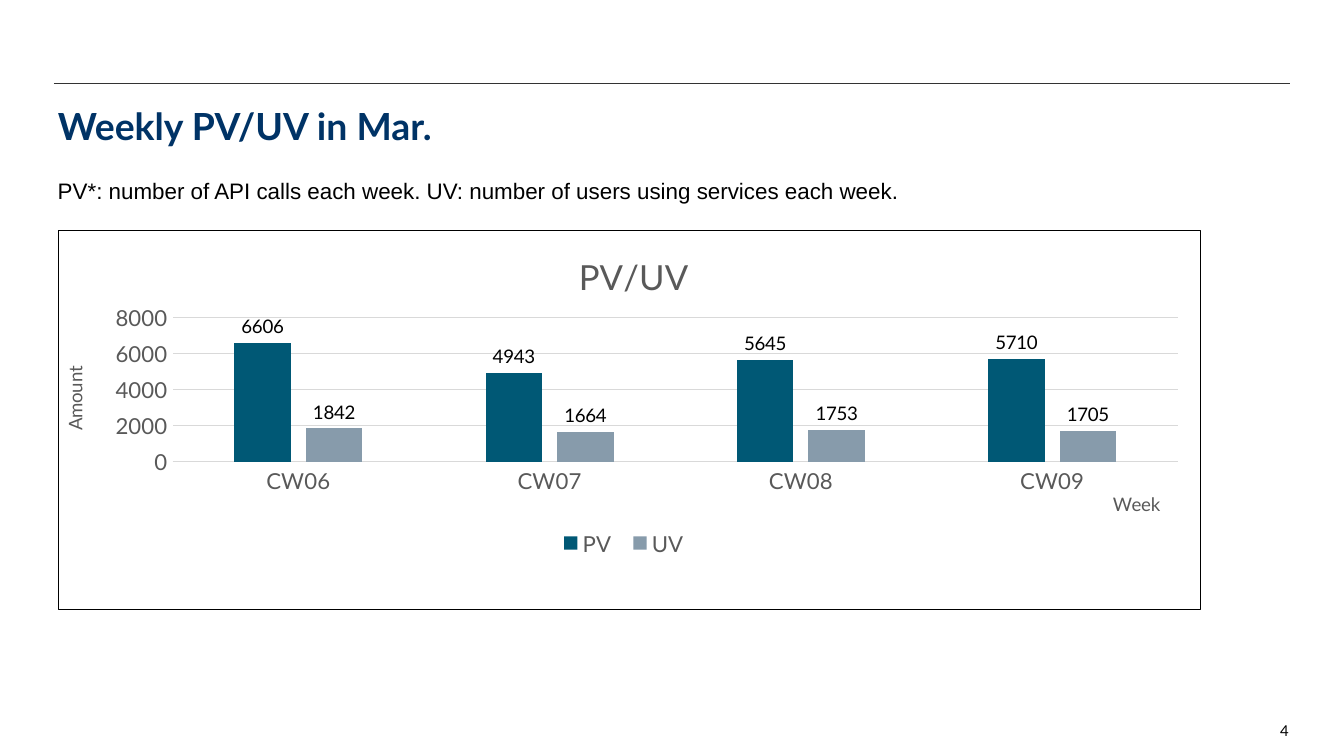
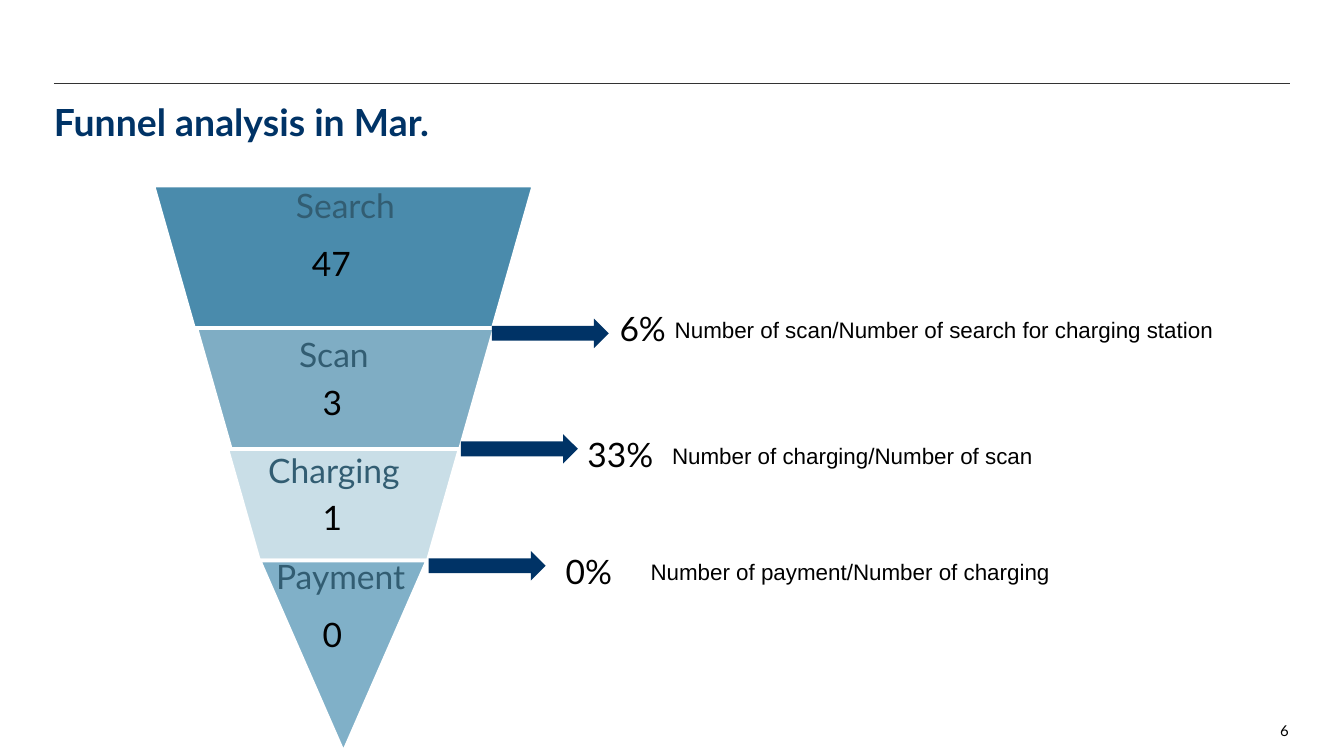
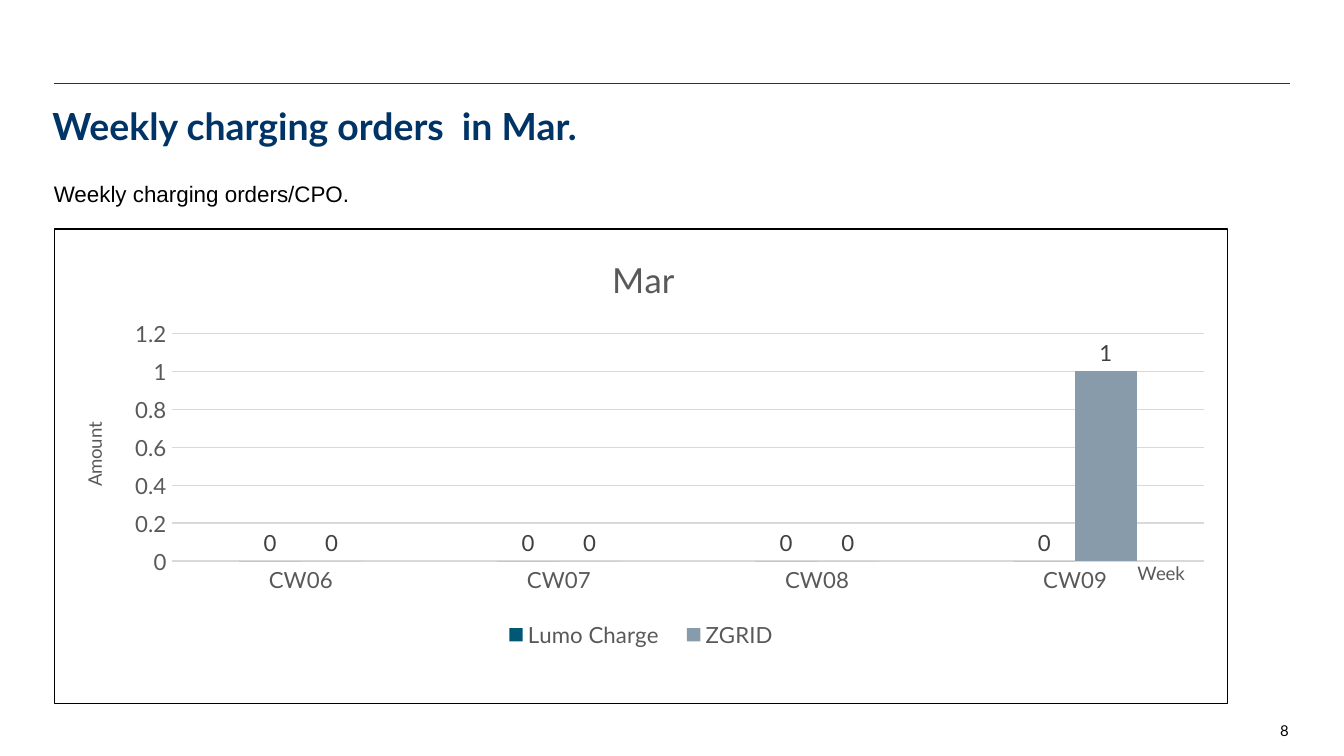
from lxml import etree
from pptx import Presentation
from pptx import util as u
from pptx.chart import data as chart_data
from pptx.dml.color import RGBColor
from pptx.enum import chart as charts, shapes, text
from pptx.oxml import parse_xml
from pptx.oxml.ns import nsdecls, qn

NAVY, BLACK, WHITE = "003366", "000000", "FFFFFF"
RULE, GRID, AXIS_TEXT = "333333", "D9D9D9", "595959"
SERIES_COLORS = ("005875", "879BAB")
LABEL_BLUE = "325D72"
WEEKS = ("CW06", "CW07", "CW08", "CW09")


def rgb(value):
    return RGBColor.from_string(value)


def set_font(font, size, color, name="Lato", bold=False):
    font.size, font.name, font.bold = u.Pt(size), name, bold
    font.color.rgb = rgb(color)


def place(element, index, x, y, w=None, h=None, inner=False):
    """Give a chart part a manual layout, in fractions of the chart."""
    for old in element.findall(qn("c:layout")):
        element.remove(old)
    values = [("xMode", "edge"), ("yMode", "edge"), ("x", x), ("y", y)]
    if inner:
        values.insert(0, ("layoutTarget", "inner"))
    if w is not None:
        values += [("w", w), ("h", h)]
    layout = etree.Element(qn("c:layout"))
    manual = etree.SubElement(layout, qn("c:manualLayout"))
    for tag, value in values:
        etree.SubElement(manual, qn(f"c:{tag}")).set("val", str(value))
    element.insert(index, layout)


class Deck:
    """Holds the shared style and the slide being built."""

    def __init__(self):
        self.presentation = Presentation()
        self.presentation.slide_width = u.Inches(10)
        self.presentation.slide_height = u.Inches(10) * 9 // 16
        self.slide = None

    def box(self, at):
        return [u.Inches(value) for value in at]

    def new_slide(self, title, at, number):
        layout = self.presentation.slide_layouts[5]
        self.slide = self.presentation.slides.add_slide(layout)
        self.line((0.4, 0.62, 9.6, 0.62))
        shape = self.slide.shapes.title
        shape.left, shape.top, shape.width, shape.height = self.box(at)
        self.fill_text(shape.text_frame, title, 20, NAVY, bold=True)
        self.text(number, (8.85, 5.37, 0.74, 0.15), 8,
                  align=text.PP_ALIGN.RIGHT)

    def line(self, ends):
        connector = self.slide.shapes.add_connector(
            shapes.MSO_CONNECTOR.STRAIGHT, *self.box(ends))
        connector.line.color.rgb = rgb(RULE)
        connector.line.width = u.Pt(0.75)
        etree.SubElement(connector._element.spPr, qn("a:effectLst"))

    def fill_text(self, frame, words, size, color, name="Lato", bold=False,
                  align=text.PP_ALIGN.LEFT, inset=0, spacing=None):
        frame.text = words
        frame.word_wrap = True
        frame.auto_size = text.MSO_AUTO_SIZE.NONE
        frame.vertical_anchor = text.MSO_ANCHOR.TOP
        frame.margin_left = frame.margin_right = u.Inches(inset)
        frame.margin_top = frame.margin_bottom = u.Inches(inset)
        paragraph = frame.paragraphs[0]
        paragraph.alignment = align
        paragraph.line_spacing = spacing
        set_font(paragraph.runs[0].font, size, color, name, bold)

    def text(self, words, at, size, color=BLACK, **style):
        shape = self.slide.shapes.add_textbox(*self.box(at))
        self.fill_text(shape.text_frame, words, size, color, **style)

    def note(self, words, at):
        self.text(words, at, 12, name="Arial")

    def shape(self, kind, at, fill, alpha=100):
        shape = self.slide.shapes.add_shape(kind, *self.box(at))
        shape.shadow.inherit = False
        shape.fill.solid()
        shape.fill.fore_color.rgb = rgb(fill)
        shape.line.fill.background()
        if alpha < 100:
            color = shape._element.spPr.find(f".//{qn('a:srgbClr')}")
            etree.SubElement(color, qn("a:alpha")).set("val", str(alpha * 1000))
        return shape

    def funnel_part(self, at, fill, alpha, slant):
        shape = self.shape(shapes.MSO_SHAPE.TRAPEZOID, at, fill, alpha)
        shape.adjustments[0] = slant
        shape.rotation = 180
        shape.line.color.rgb = rgb(WHITE)
        shape.line.width = u.Pt(2)

    def axis_title(self, axis, words, spot):
        frame = axis.axis_title.text_frame
        frame.text = words
        set_font(frame.paragraphs[0].runs[0].font, 10, AXIS_TEXT)
        place(axis.axis_title._element, 1, *spot)
        return frame

    def column_chart(self, title, at, series, overlap, scale, label, spots):
        data = chart_data.CategoryChartData()
        data.categories = WEEKS
        for name, values in series:
            data.add_series(name, values)
        chart = self.slide.shapes.add_chart(
            charts.XL_CHART_TYPE.COLUMN_CLUSTERED, *self.box(at), data).chart
        set_font(chart.font, 10, BLACK)

        # Frame, title and legend
        chart._chartSpace.find(qn("c:chart")).addnext(parse_xml(
            f'<c:spPr {nsdecls("c", "a")}><a:noFill/><a:ln w="9525"><a:solidFill>'
            f'<a:srgbClr val="{BLACK}"/></a:solidFill></a:ln></c:spPr>'))
        chart.has_title = True
        frame = chart.chart_title.text_frame
        frame.text = title
        set_font(frame.paragraphs[0].runs[0].font, 18.6, AXIS_TEXT)
        place(chart.chart_title._element, 1, *spots["title"])
        chart.has_legend = True
        chart.legend.position = charts.XL_LEGEND_POSITION.BOTTOM
        chart.legend.include_in_layout = False
        set_font(chart.legend.font, 11.9, AXIS_TEXT)
        place(chart.legend._element, 1, *spots["legend"])

        # Axes
        category, value = chart.category_axis, chart.value_axis
        for axis in (category, value):
            axis.major_tick_mark = axis.minor_tick_mark = charts.XL_TICK_MARK.NONE
            set_font(axis.tick_labels.font, 11.9, AXIS_TEXT)
        value.minimum_scale = 0
        value.maximum_scale, value.major_unit = scale
        value.format.line.fill.background()
        for line in (category.format.line, value.major_gridlines.format.line):
            line.color.rgb = rgb(GRID)
            line.width = u.Pt(0.75)
        self.axis_title(category, "Week", spots["week"])
        frame = self.axis_title(value, "Amount", spots["amount"])
        frame._txBody.bodyPr.set("rot", "-5400000")
        frame._txBody.bodyPr.set("vert", "horz")

        # Columns and their labels
        plot = chart.plots[0]
        plot.vary_by_categories = False
        plot.gap_width, plot.overlap = 219, overlap
        for column, color in zip(plot.series, SERIES_COLORS):
            column.format.fill.solid()
            column.format.fill.fore_color.rgb = rgb(color)
            labels = column.data_labels
            labels.show_value = True
            labels.position = charts.XL_LABEL_POSITION.OUTSIDE_END
            set_font(labels.font, *label)
        place(chart._chartSpace.find(f".//{qn('c:plotArea')}"), 0,
              *spots["plot"], inner=True)


def traffic_slide(deck):
    deck.new_slide("Weekly PV/UV in Mar.", (0.43, 0.77, 9.2, 0.39), "4")
    deck.column_chart(
        "PV/UV", (0.43, 1.71, 8.51, 2.83),
        [("PV", (6606, 4943, 5645, 5710)), ("UV", (1842, 1664, 1753, 1705))],
        overlap=-27, scale=(8000, 2000), label=(10, BLACK),
        spots={"title": (0.45, 0.04), "legend": (0.43, 0.78, 0.13, 0.09),
               "week": (0.92, 0.68), "amount": (0, 0.35),
               "plot": (0.1, 0.23, 0.88, 0.38)})
    deck.note("PV*: number of API calls each week. "
              "UV: number of users using services each week.",
              (0.43, 1.32, 9.06, 0.2))


def funnel_slide(deck):
    deck.new_slide("Funnel analysis in Mar.", (0.4, 0.74, 9.2, 0.56), "6")

    # Stages: name, part, fill, alpha, slant, name box, value, value position
    stages = (
        ("Search", (1.14, 1.38, 2.83, 1.06), "4A8BAC", 100, 0.285,
         (1.65, 1.38, 1.84, 1.06), "47", (2.32, 1.81)),
        ("Scan", (1.46, 2.44, 2.22, 0.9), "4A8BAC", 70, 0.285,
         (1.8, 2.49, 1.37, 0.9), "3", (2.4, 2.84)),
        ("Charging", (1.69, 3.34, 1.73, 0.83), "B3D0DE", 70, 0.285,
         (1.8, 3.35, 1.37, 0.8), "1", (2.4, 3.7)),
        ("Payment", (1.93, 4.17, 1.25, 1.43), "80B0C8", 100, 0.5,
         (1.91, 4.14, 1.25, 1.37), "0", (2.4, 4.57)),
    )
    for name, part, fill, alpha, slant, name_box, value, spot in stages:
        deck.funnel_part(part, fill, alpha, slant)
        deck.text(name, name_box, 18, LABEL_BLUE, inset=0.03, spacing=0.9,
                  align=text.PP_ALIGN.CENTER)
        deck.text(value, (*spot, 0.55, 0.38), 18)

    # Conversion rates between stages: arrow, rate, explanation
    rates = (
        ((3.66, 2.37), "6%", (4.61, 2.29),
         "Number of scan/Number of search for charging station", (5.02, 2.35)),
        ((3.43, 3.23), "33%", (4.37, 3.23),
         "Number of charging/Number of scan", (5, 3.29)),
        ((3.19, 4.1), "0%", (4.21, 4.1),
         "Number of payment/Number of charging", (4.84, 4.15)),
    )
    for arrow, rate, rate_spot, meaning, meaning_spot in rates:
        deck.shape(shapes.MSO_SHAPE.RIGHT_ARROW, (*arrow, 0.87, 0.22), NAVY)
        deck.text(rate, (*rate_spot, 0.63, 0.38), 18)
        deck.note(meaning, (*meaning_spot, 4.41, 0.31))


def orders_slide(deck):
    deck.new_slide("Weekly charging orders  in Mar.", (0.39, 0.77, 9.2, 0.56), "8")
    deck.column_chart(
        "Mar", (0.4, 1.7, 8.74, 3.54),
        [("Lumo Charge", (0, 0, 0, 0)), ("ZGRID", (0, 0, 0, 1))],
        overlap=0, scale=(1.2, 0.2), label=(11.9, "404040"),
        spots={"title": (0.47, 0.04), "legend": (0.37, 0.82, 0.26, 0.07),
               "week": (0.92, 0.69), "amount": (0.02, 0.4),
               "plot": (0.1, 0.22, 0.88, 0.48)})
    deck.note("Weekly charging orders/CPO.", (0.4, 1.34, 8.98, 0.47))


def main():
    deck = Deck()
    traffic_slide(deck)
    funnel_slide(deck)
    orders_slide(deck)
    deck.presentation.save("out.pptx")


if __name__ == "__main__":
    main()
